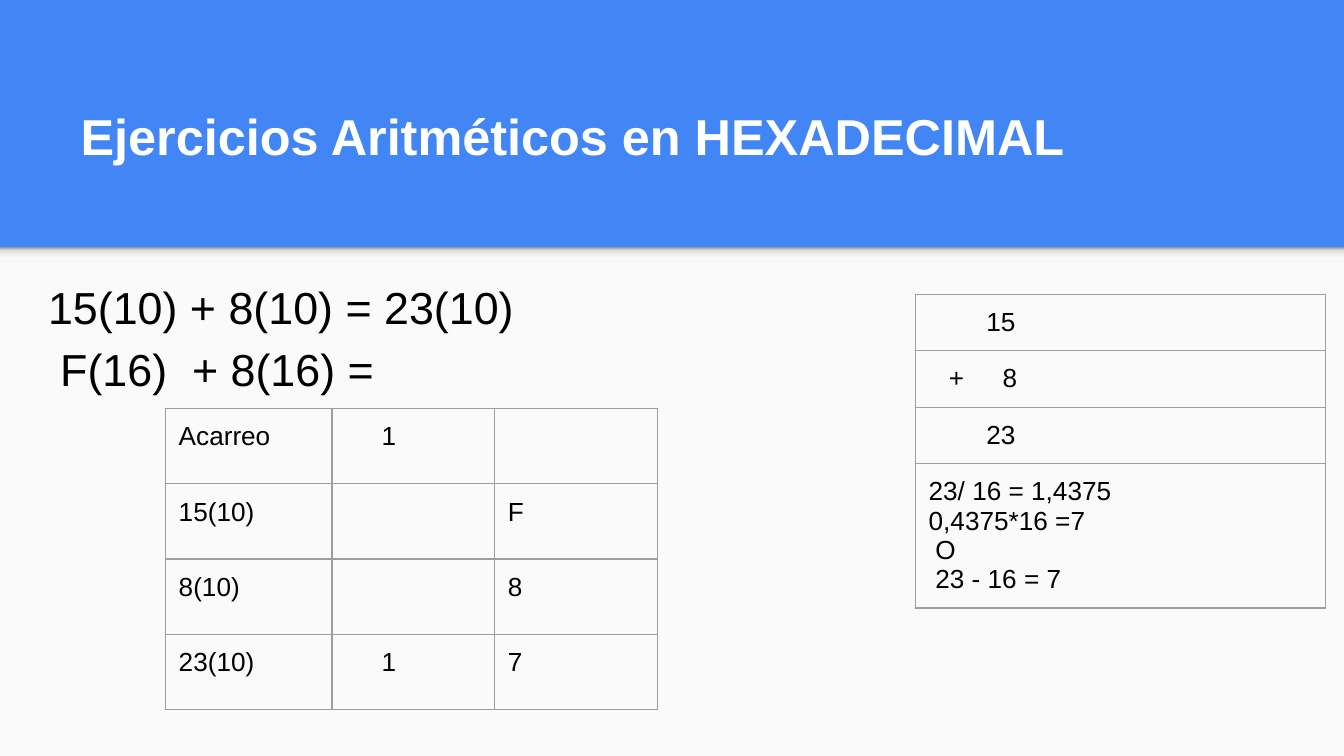
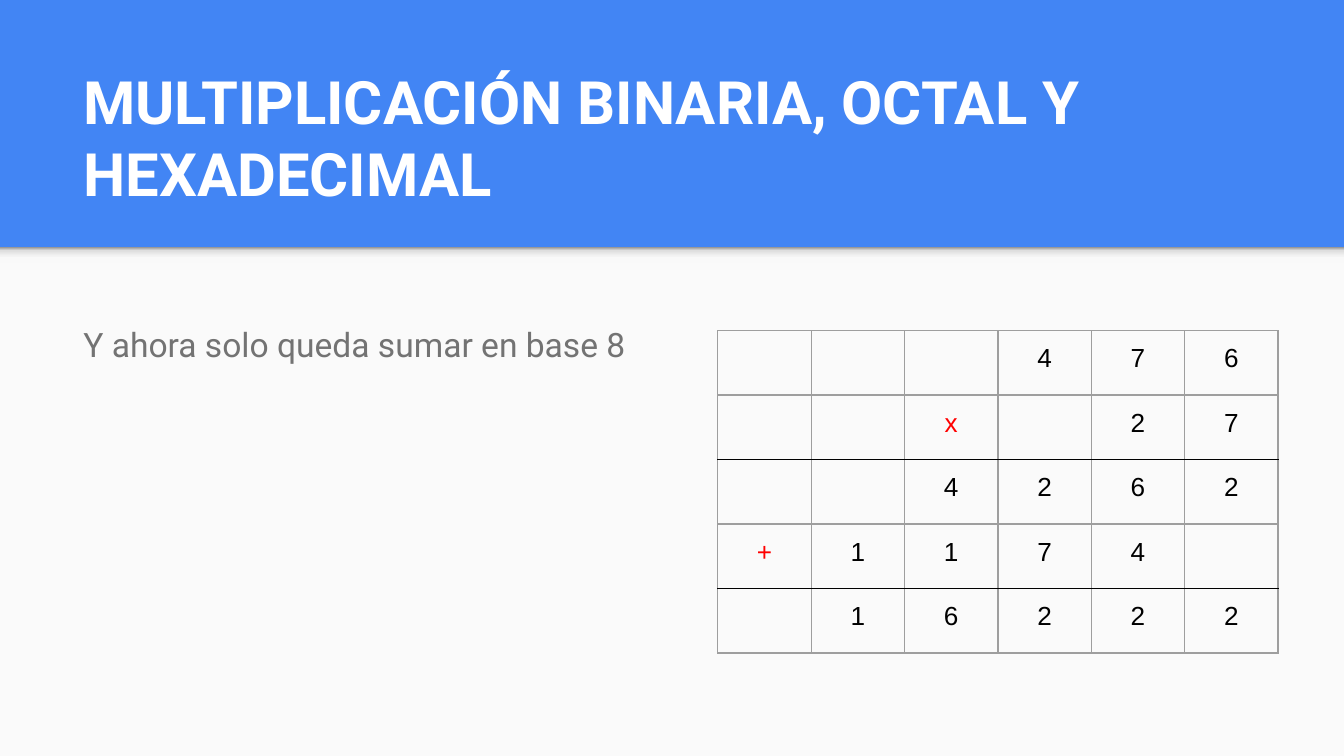
"""Builds two slides about arithmetic in hexadecimal and octal."""
from dataclasses import dataclass

from lxml.etree import SubElement
from pptx import Presentation
from pptx.dml.color import RGBColor
from pptx.enum.shapes import MSO_SHAPE
from pptx.enum.text import MSO_ANCHOR, MSO_AUTO_SIZE, PP_ALIGN
from pptx.oxml.ns import qn
from pptx.util import Inches, Pt

COLORS = {
    "blue": "4285F4", "panel": "FAFAFA", "white": "FFFFFF", "black": "000000",
    "gray": "737373", "grid": "9E9E9E", "red": "FF0000",
}
SHADE_STOPS = ((0, "F9F9F9"), (36, "F9F9F9"), (80, "DEDEDE"), (100, "999999"))
SLIDE_W, BAND_H = 10, 1.84
SLIDE_H = SLIDE_W * 9 / 16


@dataclass(frozen=True)
class Style:
    size: float
    font: str = "Arial"
    color: str = "black"
    bold: bool = False
    spacing: float = 1.0
    align: PP_ALIGN = PP_ALIGN.LEFT


@dataclass(frozen=True)
class Line:
    text: str
    margin: float = 0
    hang: float = 0
    bullet: str = ""
    color: str = ""


@dataclass(frozen=True)
class Box:
    left: float
    top: float
    width: float
    height: float

    def lengths(self) -> tuple:
        return tuple(Inches(v) for v in (self.left, self.top, self.width, self.height))


@dataclass(frozen=True)
class Grid:
    left: float
    top: float
    cols: tuple
    rows: tuple
    cells: tuple
    style: Style
    rules_below: tuple = ()


def rgb(name: str) -> RGBColor:
    return RGBColor.from_string(COLORS[name])


def write(tf, lines: tuple, style: Style) -> None:
    for i, line in enumerate(lines):
        p = tf.paragraphs[0] if i == 0 else tf.add_paragraph()
        p.alignment = style.align
        p.line_spacing = style.spacing
        p.space_before = Pt(0)
        props = p._p.get_or_add_pPr()
        props.set("marL", str(Inches(line.margin)))
        props.set("indent", str(Inches(-line.hang)))
        if line.bullet:
            tint = SubElement(props, qn("a:buClr"))
            SubElement(tint, qn("a:srgbClr"), val=COLORS["black"])
            SubElement(props, qn("a:buFont"), typeface=style.font)
            SubElement(props, qn("a:buChar"), char=line.bullet)
        else:
            SubElement(props, qn("a:buNone"))
        if not line.text:
            SubElement(p._p, qn("a:endParaRPr"), sz=str(int(style.size * 100)))
            continue
        r = p.add_run()
        r.text = line.text
        r.font.size = Pt(style.size)
        r.font.name = style.font
        r.font.bold = style.bold
        r.font.color.rgb = rgb(line.color or style.color)


def fill_box(sp, box: Box, lines: tuple, style: Style, anchor=MSO_ANCHOR.TOP) -> None:
    sp.left, sp.top, sp.width, sp.height = box.lengths()
    tf = sp.text_frame
    tf.word_wrap = True
    tf.auto_size = MSO_AUTO_SIZE.NONE
    tf.vertical_anchor = anchor
    tf.margin_left = tf.margin_right = tf.margin_top = tf.margin_bottom = Inches(0.1)
    write(tf, lines, style)


def add_border(cell, side: str, color: str) -> None:
    ln = SubElement(cell._tc.get_or_add_tcPr(), qn(f"a:ln{side}"), w=str(Pt(0.75)))
    fill = SubElement(ln, qn("a:solidFill"))
    SubElement(fill, qn("a:srgbClr"), val=COLORS[color])


def add_grid(s, grid: Grid) -> None:
    box = Box(grid.left, grid.top, sum(grid.cols), sum(grid.rows))
    table = s.shapes.add_table(len(grid.rows), len(grid.cols), *box.lengths()).table
    table.first_row = table.horz_banding = False
    for col, width in zip(table.columns, grid.cols):
        col.width = Inches(width)
    for i, (row, height) in enumerate(zip(table.rows, grid.rows)):
        row.height = Inches(height)
        top = "black" if i - 1 in grid.rules_below else "grid"
        bottom = "black" if i in grid.rules_below else "grid"
        for cell, lines in zip(row.cells, grid.cells[i]):
            for side, color in zip("LRTB", ("grid", "grid", top, bottom)):
                add_border(cell, side, color)
            cell.fill.background()
            cell.margin_left = cell.margin_right = Inches(0.1)
            cell.margin_top = cell.margin_bottom = Inches(0.1)
            write(cell.text_frame, lines, grid.style)


def style_master(prs, s) -> None:
    """Give the master its blue background, pale panel and band shade."""
    master = prs.slide_master
    master.background.fill.solid()
    master.background.fill.fore_color.rgb = rgb("blue")
    panel, shade = (
        s.shapes.add_shape(MSO_SHAPE.RECTANGLE, *Box(0, BAND_H, SLIDE_W, h).lengths())
        for h in (SLIDE_H - BAND_H, 0.12)
    )
    panel.fill.solid()
    panel.fill.fore_color.rgb = rgb("panel")
    shade.fill.gradient()
    shade.fill.gradient_angle = 90
    stops = shade.element.find(".//" + qn("a:gsLst"))
    for stop in list(stops):
        stops.remove(stop)
    for pos, color in SHADE_STOPS:
        stop = SubElement(stops, qn("a:gs"), pos=str(pos * 1000))
        SubElement(stop, qn("a:srgbClr"), val=color)
    for i, sp in enumerate((panel, shade)):
        sp.shadow.inherit = False
        sp.line.fill.background()
        sp.element.nvSpPr.cNvPr.set("id", str(101 + i))
        master.shapes.element.insert(2 + i, sp.element)


def build_addition(s) -> None:
    fill_box(s.shapes.title, Box(0.5, 0.33, 8.99, 1.28),
             (Line("Ejercicios Aritméticos en HEXADECIMAL"),),
             Style(27, color="white", bold=True, spacing=1.15), MSO_ANCHOR.MIDDLE)
    carry = (
        ("Acarreo", "1", ""),
        ("15(10)", "", "F"),
        ("8(10)", "", "8"),
        ("23(10)", "1", "7"),
    )
    add_grid(s, Grid(
        1.23, 3.04, (1.24, 1.21, 1.21), (0.56,) * 4,
        tuple(tuple((Line(text, 0.27 if j == 1 else 0),) for j, text in enumerate(row))
              for row in carry),
        Style(14)))
    box = Box(0.26, 1.92, 9.6, 1.12)
    fill_box(s.shapes.add_textbox(*box.lengths()), box,
             (Line("15(10) + 8(10) = 23(10)"), Line("F(16)  + 8(16) =", 0.09)),
             Style(24, spacing=1.15))
    steps = (
        (Line("15", 0.43),),
        (Line("8", 0.55, 0.4, "+"),),
        (Line("23", 0.43),),
        (Line("23/ 16 = 1,4375"), Line("0,4375*16 =7"),
         Line("O", 0.05), Line("23 - 16 = 7", 0.05)),
    )
    add_grid(s, Grid(6.81, 2.19, (3.05,), (0.42,) * 3 + (1.07,),
                     tuple((lines,) for lines in steps), Style(14)))


def build_multiplication(s) -> None:
    fill_box(s.shapes.title, Box(0.52, 0.81, 8.99, 0.84),
             (Line("MULTIPLICACIÓN BINARIA, OCTAL Y HEXADECIMAL"),),
             Style(32, "Roboto", "white", True), MSO_ANCHOR.BOTTOM)
    fill_box(s.placeholders[1], Box(0.52, 2.01, 9.1, 3.21),
             (Line("Y ahora solo queda sumar en base 8"),),
             Style(18, "Roboto", "gray", spacing=2.0))
    digits = ("   476", "  x 27", "  4262", "+1174 ", " 16222")
    add_grid(s, Grid(
        5.34, 2.46, (4.17 / 6,) * 6, (0.48,) * 5,
        tuple(tuple((Line(d.strip(), color="red" if d in "x+" else ""),) for d in row)
              for row in digits),
        Style(14, align=PP_ALIGN.CENTER), rules_below=(1, 3)))


def main() -> None:
    prs = Presentation()
    prs.slide_width, prs.slide_height = Inches(SLIDE_W), Inches(SLIDE_H)
    addition = prs.slides.add_slide(prs.slide_layouts[5])
    style_master(prs, addition)
    build_addition(addition)
    build_multiplication(prs.slides.add_slide(prs.slide_layouts[1]))
    prs.save("out.pptx")


if __name__ == "__main__":
    main()
